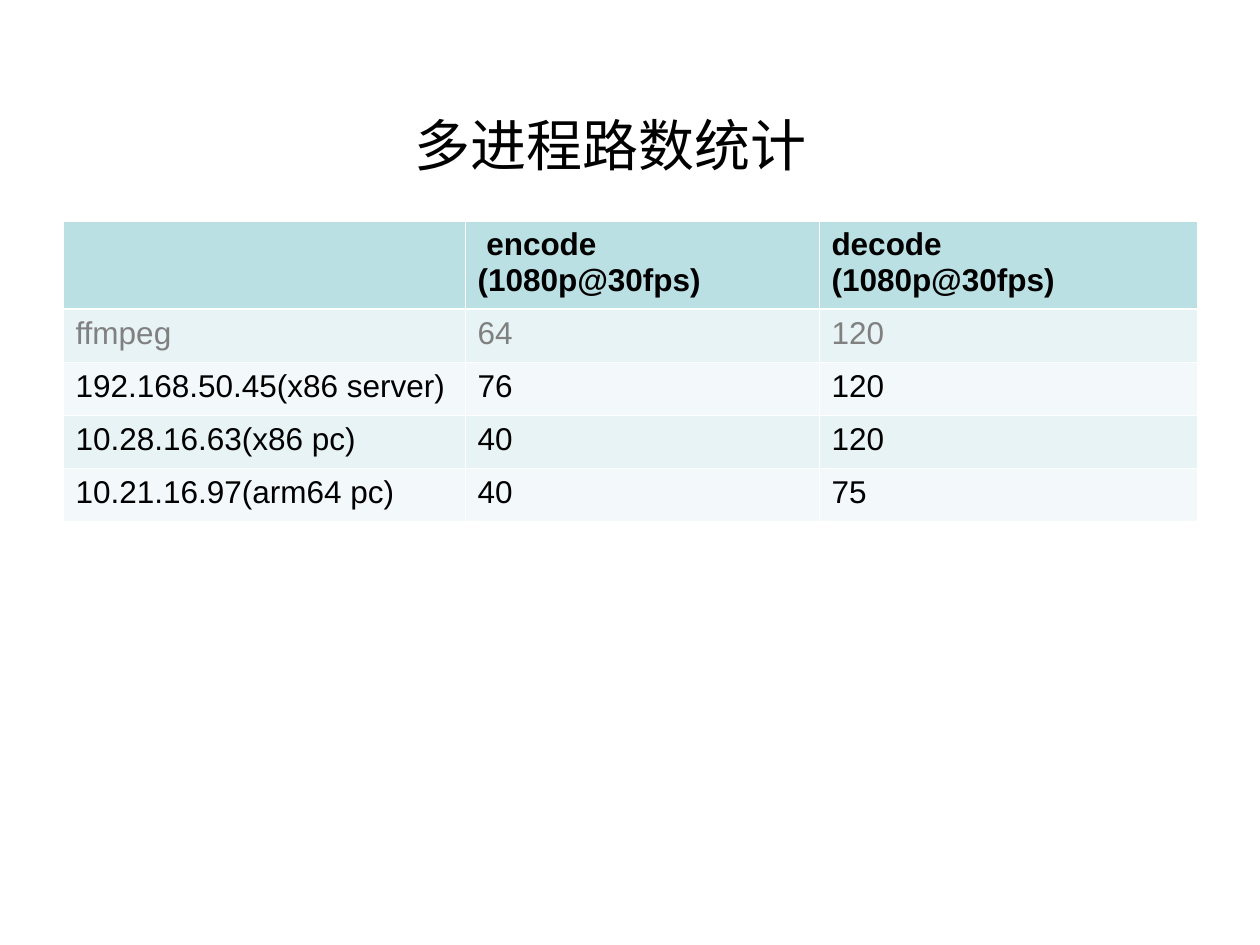
from dataclasses import dataclass

from lxml.etree import SubElement
from pptx import Presentation
from pptx.dml.color import RGBColor
from pptx.enum.text import MSO_ANCHOR as Anchor, PP_ALIGN as Align
from pptx.oxml.ns import qn
from pptx.util import Emu, Pt

FONT = "Arial"
BLACK, GREY, WHITE = "000000", "808080", "FFFFFF"
HEADER_FILL, BAND_FILLS = "BBE0E3", ("E7F3F4", "F3F9FA")
THIN, THICK = 0.45, 1.47
COL_WIDTHS = (402, 354, 378)


@dataclass(frozen=True)
class Row:
    cells: tuple[str, ...]
    fill: str
    height: int = 53
    color: str = BLACK
    bold: bool = False
    top: float = THIN
    bottom: float = THIN


ROWS = (
    Row(("", " encode (1080p@30fps)", "decode\n(1080p@30fps)"),
        HEADER_FILL, height=88, bold=True, bottom=THICK),
    Row(("ffmpeg", "64", "120"), BAND_FILLS[0], color=GREY, top=THICK),
    Row(("192.168.50.45(x86 server)", "76", "120"), BAND_FILLS[1]),
    Row(("10.28.16.63(x86 pc)", "40", "120"), BAND_FILLS[0]),
    Row(("10.21.16.97(arm64 pc)", "40", "75"), BAND_FILLS[1]),
)


def px(n: int) -> Emu:
    return Emu(round(n * 914400 / 126))


def rgb(value: str) -> RGBColor:
    return RGBColor.from_string(value)


def style(p, size: int, color: str, bold: bool = False) -> None:
    p.font.name, p.font.size, p.font.bold = FONT, Pt(size), bold
    p.font.color.rgb = rgb(color)


def add_border(cell, side: str, width: float) -> None:
    ln = SubElement(cell._tc.get_or_add_tcPr(), qn(f"a:ln{side}"), w=str(Pt(width)))
    SubElement(SubElement(ln, qn("a:solidFill")), qn("a:srgbClr"), val=WHITE)


def fill_cell(cell, text: str, row: Row) -> None:
    cell.text = text
    for p in cell.text_frame.paragraphs:
        style(p, 18, row.color, row.bold)
    for side, width in zip("LRTB", (THIN, THIN, row.top, row.bottom)):
        add_border(cell, side, width)
    cell.fill.solid()
    cell.fill.fore_color.rgb = rgb(row.fill)


def add_title(s, text: str) -> None:
    tf = s.shapes.add_textbox(px(44), px(66), px(1134), px(157)).text_frame
    tf.word_wrap = True
    tf.vertical_anchor = Anchor.MIDDLE
    p = tf.paragraphs[0]
    p.text, p.alignment = text, Align.CENTER
    style(p, 32, BLACK)


def add_stats_table(s) -> None:
    height = sum(row.height for row in ROWS)
    table = s.shapes.add_table(len(ROWS), len(COL_WIDTHS), px(63), px(221),
                               px(sum(COL_WIDTHS)), px(height)).table
    for col, width in zip(table.columns, COL_WIDTHS):
        col.width = px(width)
    for r, row in enumerate(ROWS):
        table.rows[r].height = px(row.height)
        for c, text in enumerate(row.cells):
            fill_cell(table.cell(r, c), text, row)


def main() -> None:
    """Build the slide of process counts per machine."""
    prs = Presentation()
    prs.slide_width, prs.slide_height = px(1260), px(945)
    s = prs.slides.add_slide(prs.slide_layouts[6])
    add_title(s, "多进程路数统计")
    add_stats_table(s)
    prs.save("out.pptx")


if __name__ == "__main__":
    main()
